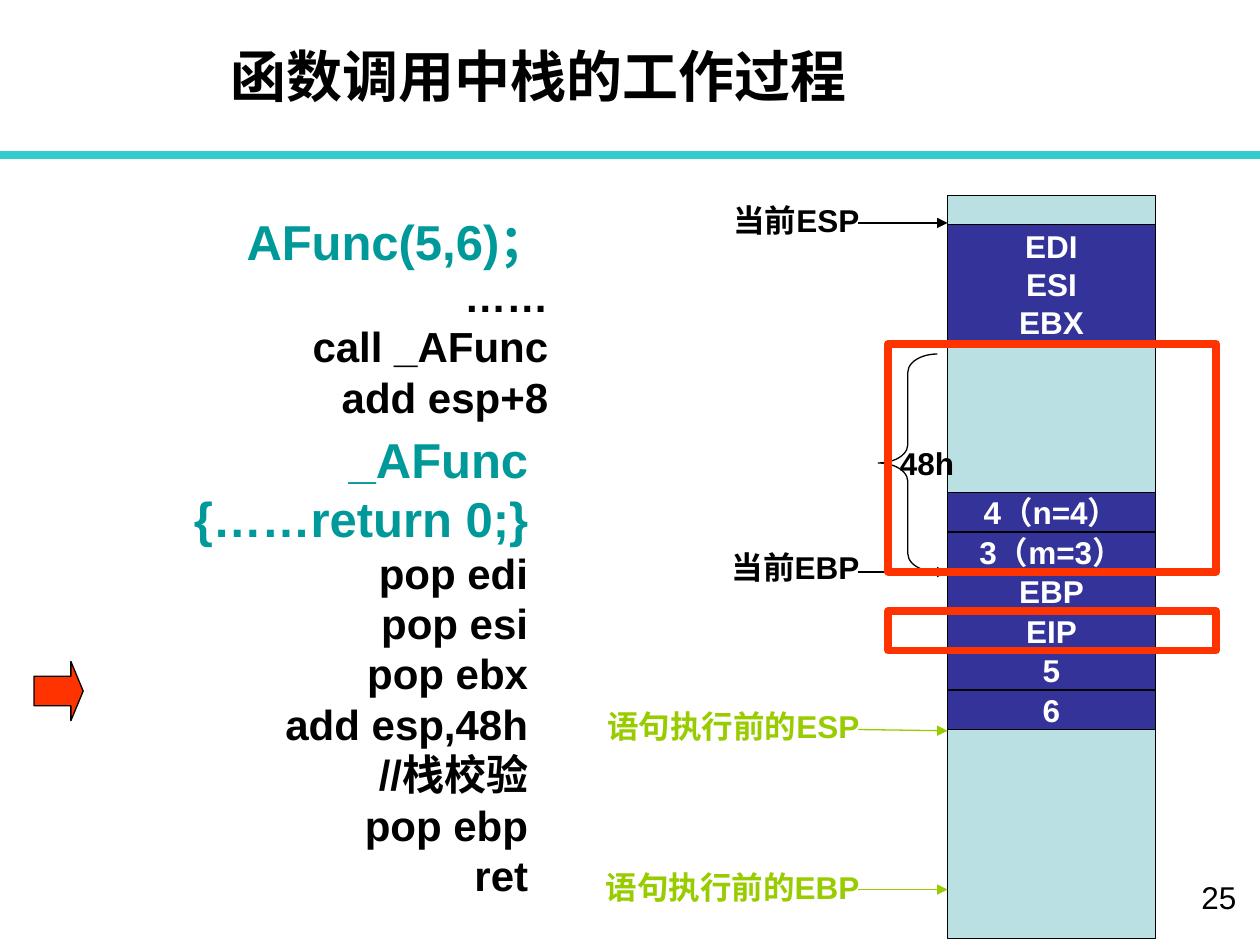
import dataclasses
import pptx
import pptx.dml.color
import pptx.enum.shapes
import pptx.enum.text
import pptx.oxml
import pptx.oxml.ns
import pptx.util

Inches = pptx.util.Inches
Shapes = pptx.enum.shapes.MSO_SHAPE
Align = pptx.enum.text.PP_ALIGN
Anchor = pptx.enum.text.MSO_ANCHOR


@dataclasses.dataclass(frozen=True)
class Theme:
    font: str = "Arial"
    black: str = "000000"
    white: str = "FFFFFF"
    rule: str = "33CCCC"
    heading: str = "009999"
    earlier: str = "99CC00"
    memory: str = "BBE0E3"
    cell: str = "333399"
    marker: str = "FF3300"
    title_size: int = 32
    call_size: int = 28
    code_size: int = 24
    label_size: int = 18
    thin: float = 0.75
    frame: float = 4.5
    thick: float = 5


THEME = Theme()
WIDTH, HEIGHT = 10, 7.5
STACK_LEFT, STACK_WIDTH = 7.52, 1.65
CELLS_TOP, CELLS_BOTTOM = 3.91, 5.79
CELLS = ["4（n=4）", "3（m=3）", "EBP", "EIP", "5", "6"]
CELL_HEIGHT = (CELLS_BOTTOM - CELLS_TOP) / len(CELLS)
SAVED_TOP, LOCALS_TOP = 1.78, 2.73
FRAME_LEFT, FRAME_WIDTH = 7.05, 2.6
ARROW_START, LABEL_RIGHT, LABEL_WIDTH = 6.81, 6.92, 2.4


def color(value):
    return pptx.dml.color.RGBColor.from_string(value)


def cell_top(row):
    return CELLS_TOP + row * CELL_HEIGHT


def apply(target, values):
    for name, value in values.items():
        setattr(target, name, value)


def write(shape, lines, alignment, frame_format):
    frame = shape.text_frame
    apply(frame, frame_format)
    for index, (text, size, text_color, bold) in enumerate(lines):
        paragraph = frame.paragraphs[0] if index == 0 else frame.add_paragraph()
        paragraph.alignment = alignment
        run = paragraph.add_run()
        run.text = text
        apply(run.font, {"name": THEME.font, "size": pptx.util.Pt(size), "bold": bold})
        run.font.color.rgb = color(text_color)


def add_text(slide, box, lines, alignment=Align.RIGHT, **frame_format):
    shape = slide.shapes.add_textbox(*map(Inches, box))
    write(shape, lines, alignment, {"word_wrap": True, **frame_format})


def add_block(slide, kind, box, fill=None, line=THEME.black, weight=THEME.thin,
              texts=(), text_color=THEME.white):
    shape = slide.shapes.add_shape(kind, *map(Inches, box))
    shape.shadow.inherit = False
    if fill:
        shape.fill.solid()
        shape.fill.fore_color.rgb = color(fill)
    else:
        shape.fill.background()
    shape.line.color.rgb = color(line)
    shape.line.width = pptx.util.Pt(weight)
    lines = [(text, THEME.label_size, text_color, True) for text in texts]
    write(shape, lines, Align.CENTER,
          {"word_wrap": False, "vertical_anchor": Anchor.MIDDLE})
    return shape


def add_line(slide, start, end, line, weight, arrow=False):
    connector = slide.shapes.add_connector(
        pptx.enum.shapes.MSO_CONNECTOR.STRAIGHT, *map(Inches, start + end))
    connector.line.color.rgb = color(line)
    connector.line.width = pptx.util.Pt(weight)
    namespace = pptx.oxml.ns.nsdecls("a")
    if arrow:
        connector.line._get_or_add_ln().append(
            pptx.oxml.parse_xml(f'<a:tailEnd {namespace} type="triangle"/>'))
    connector._element.spPr.append(
        pptx.oxml.parse_xml(f"<a:effectLst {namespace}/>"))


def add_pointer(slide, text, top, start, end, text_color):
    add_text(slide, (LABEL_RIGHT - LABEL_WIDTH, top, LABEL_WIDTH, 0.4),
             [(text, THEME.label_size, text_color, True)])
    add_line(slide, (ARROW_START, start), (STACK_LEFT, end),
             text_color, THEME.thin, arrow=True)


def add_code(slide, box, calls, instructions):
    lines = [(text, THEME.call_size, THEME.heading, True) for text in calls]
    lines += [(text, THEME.code_size, THEME.black, True) for text in instructions]
    add_text(slide, box, lines)


def add_stack(slide):
    add_block(slide, Shapes.RECTANGLE, (STACK_LEFT, 1.55, STACK_WIDTH, 5.9), THEME.memory)
    add_block(slide, Shapes.RECTANGLE,
              (STACK_LEFT, SAVED_TOP, STACK_WIDTH, LOCALS_TOP - SAVED_TOP),
              THEME.cell, texts=["EDI", "ESI", "EBX"])
    for row, text in enumerate(CELLS):
        add_block(slide, Shapes.RECTANGLE,
                  (STACK_LEFT, cell_top(row), STACK_WIDTH, CELL_HEIGHT),
                  THEME.cell, texts=[text])
    brace = add_block(slide, Shapes.LEFT_BRACE, (6.97, 2.81, 0.47, 1.73),
                      texts=["48h"], text_color=THEME.black)
    brace.adjustments[0] = 0.31


def add_frames(slide):
    for top, bottom in ((LOCALS_TOP, cell_top(2)), (cell_top(3), cell_top(4))):
        add_block(slide, Shapes.RECTANGLE, (FRAME_LEFT, top, FRAME_WIDTH, bottom - top),
                  line=THEME.marker, weight=THEME.frame)


def main():
    presentation = pptx.Presentation()
    apply(presentation, {"slide_width": Inches(WIDTH), "slide_height": Inches(HEIGHT)})
    slide = presentation.slides.add_slide(presentation.slide_layouts[6])

    add_line(slide, (0, 1.23), (WIDTH, 1.23), THEME.rule, THEME.thick)
    add_text(slide, (1.83, 0.33, 8.17, 0.54),
             [("函数调用中栈的工作过程", THEME.title_size, THEME.black, True)],
             Align.LEFT, vertical_anchor=Anchor.MIDDLE,
             margin_left=0, margin_right=0, margin_top=0, margin_bottom=0)
    add_text(slide, (7.83, 6.92, 2.08, 0.5),
             [("25", THEME.label_size, THEME.black, False)])

    add_code(slide, (0.65, 1.63, 3.8, 2.44), ["AFunc(5,6)；"],
             ["……", "call _AFunc", "add esp+8"])
    add_code(slide, (0.65, 3.36, 3.64, 4.14), ["_AFunc", "{……return 0;}"],
             ["pop edi", "pop esi", "pop ebx", "add esp,48h", "//栈校验", "pop ebp", "ret"])
    add_block(slide, Shapes.RIGHT_ARROW, (0.27, 5.25, 0.39, 0.47),
              THEME.marker).adjustments[1] = 0.25

    add_stack(slide)
    add_pointer(slide, "当前ESP", 1.55, 1.77, 1.77, THEME.black)
    add_pointer(slide, "当前EBP", 4.3, 4.54, 4.54, THEME.black)
    add_pointer(slide, "语句执行前的ESP", 5.56, 5.79, 5.8, THEME.earlier)
    add_pointer(slide, "语句执行前的EBP", 6.84, 7.06, 7.06, THEME.earlier)
    add_frames(slide)
    presentation.save("out.pptx")


if __name__ == "__main__":
    main()
